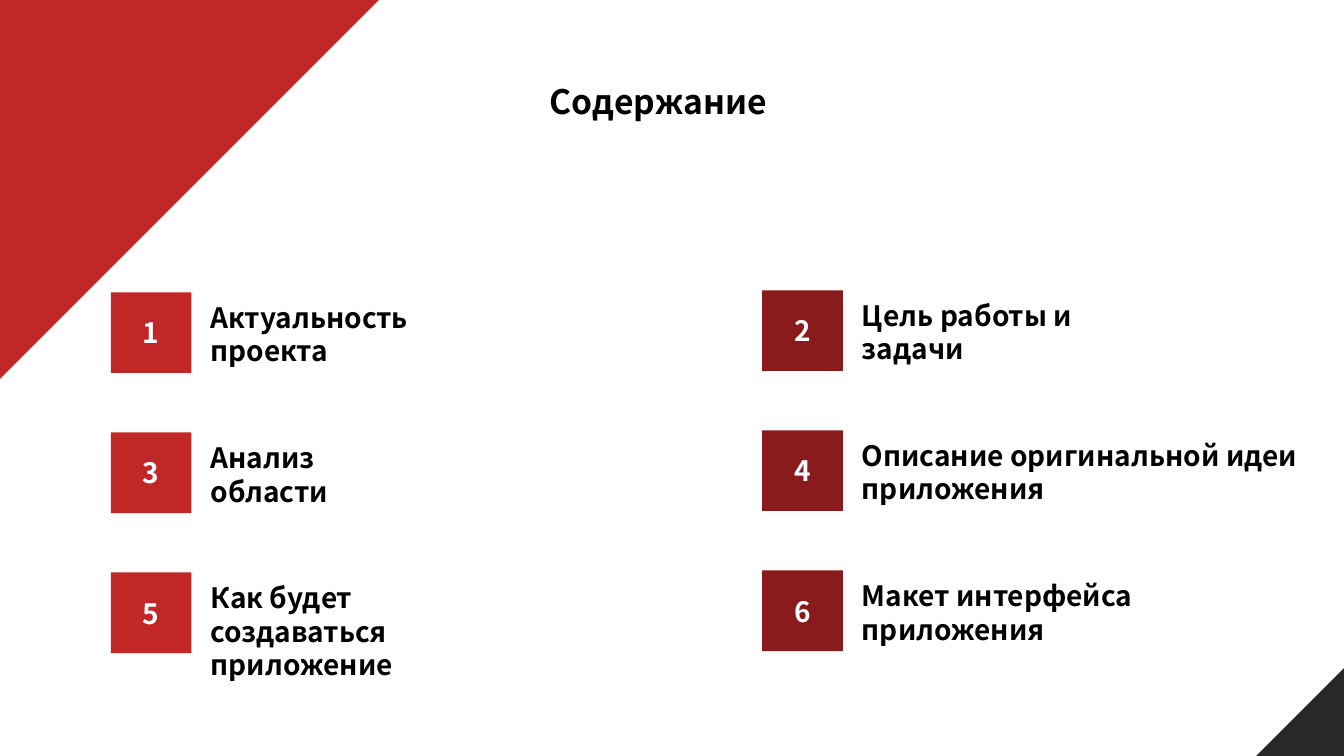
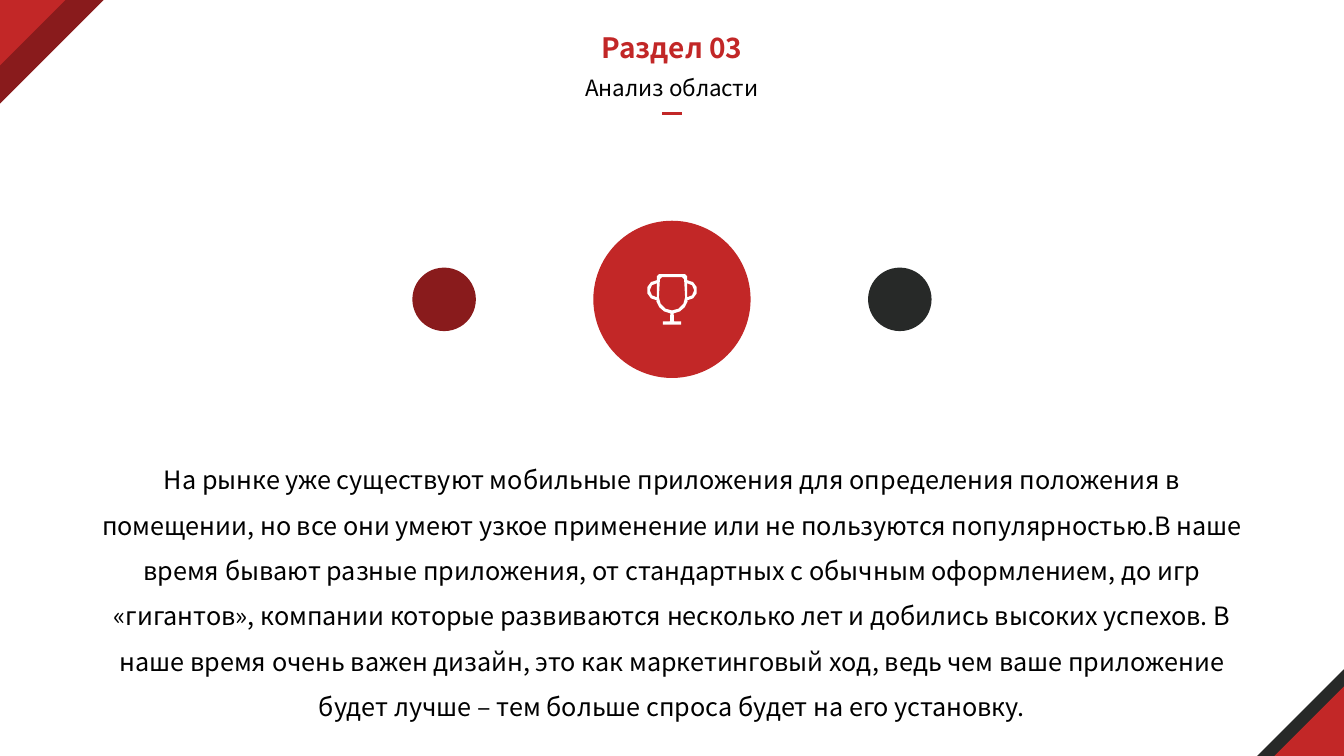
import math
from dataclasses import dataclass

from lxml import etree
from pptx import Presentation
from pptx import util as u
from pptx.dml.color import RGBColor
from pptx.enum import shapes, text
from pptx.oxml.ns import qn


@dataclass(frozen=True)
class Theme:
    red: RGBColor = RGBColor.from_string("C22727")
    maroon: RGBColor = RGBColor.from_string("891B1C")
    charcoal: RGBColor = RGBColor.from_string("272928")
    black: RGBColor = RGBColor.from_string("000000")
    white: RGBColor = RGBColor.from_string("FFFFFF")
    font: str = "Noto Sans CJK SC"
    heading: int = 24
    label: int = 20
    body: int = 18
    subtitle: int = 16


THEME = Theme()
WIDTH, HEIGHT = 13.33, 7.5
CENTER = text.PP_ALIGN.CENTER
LEFT = text.PP_ALIGN.LEFT

CONTENTS = [
    "Актуальность проекта",
    "Цель работы и задачи",
    "Анализ области",
    "Описание оригинальной идеи приложения",
    "Как будет создаваться приложение",
    "Макет интерфейса приложения",
]
# Per column: square left, square top, colour, label widths from top to bottom
COLUMNS = [
    (1.1, 2.9, THEME.red, (2.35, 2.03, 3.02)),
    (7.56, 2.88, THEME.maroon, (2.9, 4.53, 4.53)),
]
ROW_STEP = 1.39
SQUARE = 0.8

MARKET_TEXT = (
    "На рынке уже существуют мобильные приложения для определения положения "
    "в помещении, но все они умеют узкое применение или не пользуются "
    "популярностью.В наше время бывают разные приложения, от стандартных с "
    "обычным оформлением, до игр «гигантов», компании которые развиваются "
    "несколько лет и добились высоких успехов. В наше время очень важен "
    "дизайн, это как маркетинговый ход, ведь чем ваше приложение будет лучше "
    "– тем больше спроса будет на его установку."
)


# Text
def write(shape, content, size, color, bold=False, align=LEFT, spacing=None,
          anchor=text.MSO_ANCHOR.TOP):
    frame = shape.text_frame
    frame.word_wrap = True
    frame.auto_size = text.MSO_AUTO_SIZE.NONE
    frame.vertical_anchor = anchor
    frame.text = content
    paragraph = frame.paragraphs[0]
    paragraph.alignment = align
    if spacing:
        paragraph.line_spacing = spacing
    font = paragraph.font
    font.name, font.size, font.bold = THEME.font, u.Pt(size), bold
    font.color.rgb = color


def add_text(slide, box, content, size, **style):
    shape = slide.shapes.add_textbox(*map(u.Inches, box))
    write(shape, content, size, THEME.black, **style)


def set_title(slide, box, content, size, color, align):
    title = slide.shapes.title
    title.left, title.top, title.width, title.height = map(u.Inches, box)
    write(title, content, size, color, bold=True, align=align)


# Shapes
def paint(shape, color):
    shape.shadow.inherit = False
    shape.fill.solid()
    shape.fill.fore_color.rgb = color
    shape.line.fill.background()


def add_filled(slide, kind, box, color):
    shape = slide.shapes.add_shape(kind, *map(u.Inches, box))
    paint(shape, color)
    return shape


def add_corner(slide, size, color, top_left):
    left, top = (0, 0) if top_left else (WIDTH - size, HEIGHT - size)
    triangle = add_filled(slide, shapes.MSO_SHAPE.RIGHT_TRIANGLE,
                          (left, top, size, size), color)
    triangle._element.spPr.xfrm.set("flipV" if top_left else "flipH", "1")


def add_circle(slide, center_x, center_y, diameter, color):
    radius = diameter / 2
    add_filled(slide, shapes.MSO_SHAPE.OVAL,
               (center_x - radius, center_y - radius, diameter, diameter), color)


def add_rule(slide, left, right, y):
    rule = slide.shapes.add_connector(
        shapes.MSO_CONNECTOR.STRAIGHT, *map(u.Inches, (left, y, right, y)))
    rule.line.color.rgb = THEME.red
    rule.line.width = u.Pt(2)
    etree.SubElement(rule._element.spPr, qn("a:effectLst"))


def add_numbered_item(slide, left, top, number, label, width, color):
    square = add_filled(slide, shapes.MSO_SHAPE.RECTANGLE,
                        (left, top, SQUARE, SQUARE), color)
    write(square, str(number), THEME.label, THEME.white, bold=True,
          align=CENTER, anchor=text.MSO_ANCHOR.MIDDLE)
    add_text(slide, (left + 0.89, top + 0.03, width, 0.77), label,
             THEME.label, bold=True)


# Trophy icon
def arc(center_x, center_y, radius, start, end, steps):
    angles = [math.radians(start + (end - start) * i / steps)
              for i in range(steps + 1)]
    return [(center_x + radius * math.cos(a), center_y + radius * math.sin(a))
            for a in angles]


def add_trophy(slide, x, top):
    cup, handle, foot = top + 0.23, top + 0.16, top + 0.5
    side, stem, base = 0.15, 0.02, 0.09
    outline = (
        [(x - side, top + 0.02), (x - 0.13, top),
         (x + 0.13, top), (x + side, top + 0.02)]
        + arc(x + side, handle, 0.1, -90, 90, 5)
        + arc(x, cup, 0.16, 15, 84, 3)
        + [(x + stem, foot - 0.03), (x + base, foot - 0.03), (x + base, foot),
           (x - base, foot), (x - base, foot - 0.03), (x - stem, foot - 0.03)]
        + arc(x, cup, 0.16, 96, 165, 3)
        + arc(x - side, handle, 0.1, 90, 270, 5)
    )
    bowl = ([(x - 0.12, top + 0.05), (x - 0.1, top + 0.03),
             (x + 0.1, top + 0.03), (x + 0.12, top + 0.05)]
            + arc(x, cup, 0.13, 0, 180, 6))
    holes = [bowl, arc(x + side, handle, 0.07, -90, 90, 4),
             arc(x - side, handle, 0.07, 90, 270, 4)]

    contours = [[(u.Inches(px), u.Inches(py)) for px, py in contour]
                for contour in [outline] + holes]
    builder = slide.shapes.build_freeform(*contours[0][0])
    builder.add_line_segments(contours[0][1:])
    for contour in contours[1:]:
        builder.move_to(*contour[0])
        builder.add_line_segments(contour[1:])
    paint(builder.convert_to_shape(), THEME.white)


# Slides
def build_contents(slide):
    add_corner(slide, 3.76, THEME.red, top_left=True)
    add_corner(slide, 0.87, THEME.charcoal, top_left=False)
    set_title(slide, (5.35, 0.75, 2.63, 0.5), "Содержание", THEME.heading,
              THEME.black, text.PP_ALIGN.JUSTIFY)
    for index, label in enumerate(CONTENTS):
        row, column = divmod(index, len(COLUMNS))
        left, top, color, widths = COLUMNS[column]
        add_numbered_item(slide, left, top + row * ROW_STEP, index + 1, label,
                          widths[row], color)


def build_analysis(slide):
    add_corner(slide, 1.03, THEME.maroon, top_left=True)
    add_corner(slide, 0.65, THEME.red, top_left=True)
    add_corner(slide, 0.86, THEME.charcoal, top_left=False)
    add_corner(slide, 0.69, THEME.red, top_left=False)
    set_title(slide, (4.81, 0.25, 3.71, 0.44), "Раздел 03", THEME.label,
              THEME.red, CENTER)
    add_text(slide, (4.4, 0.69, 4.53, 0.37), "Анализ области",
             THEME.subtitle, align=CENTER)
    add_rule(slide, 6.57, 6.76, 1.13)

    middle_x, middle_y, gap = WIDTH / 2, 2.97, 2.26
    add_circle(slide, middle_x - gap, middle_y, 0.63, THEME.maroon)
    add_circle(slide, middle_x, middle_y, 1.56, THEME.red)
    add_circle(slide, middle_x + gap, middle_y, 0.63, THEME.charcoal)
    add_trophy(slide, middle_x, 2.72)

    add_text(slide, (0.76, 4.41, 11.81, 2.83), MARKET_TEXT, THEME.body,
             align=CENTER, spacing=1.5)


def main():
    presentation = Presentation()
    presentation.slide_width = u.Inches(WIDTH)
    presentation.slide_height = u.Inches(HEIGHT)
    title_only = presentation.slide_layouts[5]
    for build in (build_contents, build_analysis):
        build(presentation.slides.add_slide(title_only))
    presentation.save("out.pptx")


if __name__ == "__main__":
    main()
